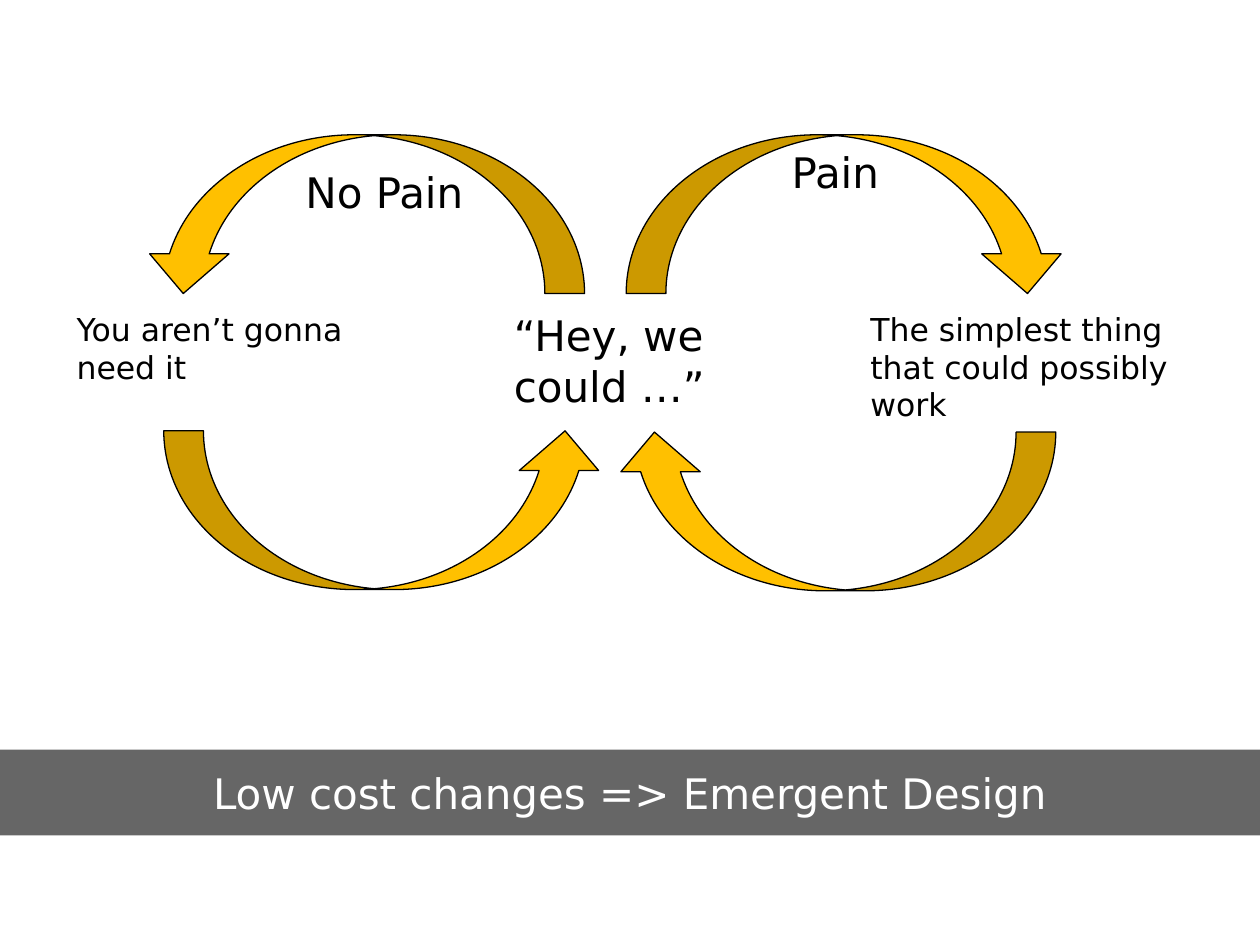
from dataclasses import dataclass

from lxml.etree import SubElement
from pptx import Presentation
from pptx.dml.color import RGBColor
from pptx.enum.shapes import MSO_SHAPE
from pptx.enum.text import MSO_ANCHOR, MSO_AUTO_SIZE, PP_ALIGN
from pptx.oxml.ns import qn
from pptx.util import Pt


@dataclass(frozen=True)
class Theme:
    """Colours, typeface and type sizes of the slide."""

    black: RGBColor = RGBColor(0, 0, 0)
    white: RGBColor = RGBColor(255, 255, 255)
    arrow: RGBColor = RGBColor(255, 192, 0)
    font: str = "DejaVu Sans"
    large: int = 24
    small: int = 18
    banner_alpha: int = 60


THEME = Theme()
ARROW_WIDTH, ARROW_HEIGHT = 252, 90.72
ARROWS = [
    (357.84, 77.04, ""),
    (82.08, 77.04, "h"),
    (351.36, 246.96, "hv"),
    (93.6, 246.24, "v"),
]
STATEMENTS = [
    ("“Hey, we could …”", 286.56, 130.32, 65.52, THEME.large),
    ("The simplest thing that could possibly work", 490.32, 187.2, 72.72, THEME.small),
    ("You aren’t gonna need it", 36.72, 187.2, 51.12, THEME.small),
]
STATEMENT_TOP = 173.52
OUTCOMES = [("Pain", 443.52, 79.92, 67.68), ("No Pain", 164.88, 91.44, 109.44)]


def style_text(frame, text, size, color, alignment):
    """Write one paragraph into a text frame and format it."""
    frame.word_wrap = True
    paragraph = frame.paragraphs[0]
    paragraph.text = text
    paragraph.alignment = alignment
    paragraph.font.name = THEME.font
    paragraph.font.size = Pt(size)
    paragraph.font.color.rgb = color


def format_banner(title, text):
    """Turn the title placeholder into a translucent full-width banner."""
    title.left, title.top, title.width, title.height = Pt(0), Pt(428.4), Pt(720), Pt(48.96)
    title.fill.solid()
    title.fill.fore_color.rgb = THEME.black
    color = next(title._element.spPr.iter(qn("a:srgbClr")))
    SubElement(color, qn("a:alpha"), val=str(THEME.banner_alpha * 1000))
    title.text_frame.auto_size = MSO_AUTO_SIZE.NONE
    title.text_frame.vertical_anchor = MSO_ANCHOR.MIDDLE
    style_text(title.text_frame, text, THEME.large, THEME.white, PP_ALIGN.CENTER)


def add_label(slide, text, left, top, width, height, size, alignment):
    """Add a wrapped text box that grows with its text."""
    box = slide.shapes.add_textbox(Pt(left), Pt(top), Pt(width), Pt(height))
    style_text(box.text_frame, text, size, THEME.black, alignment)
    box.text_frame.auto_size = MSO_AUTO_SIZE.SHAPE_TO_FIT_TEXT


def add_curved_arrow(slide, left, top, flips):
    """Add a curved arrow, mirrored along the axes named in flips."""
    arrow = slide.shapes.add_shape(
        MSO_SHAPE.CURVED_DOWN_ARROW, Pt(left), Pt(top), Pt(ARROW_WIDTH), Pt(ARROW_HEIGHT)
    )
    arrow.shadow.inherit = False
    arrow.fill.solid()
    arrow.fill.fore_color.rgb = THEME.arrow
    arrow.line.color.rgb = THEME.black
    arrow.line.width = Pt(0.75)
    for axis in flips:
        arrow._element.spPr.find(qn("a:xfrm")).set(f"flip{axis.upper()}", "1")


def main():
    """Build the two feedback loops and save the presentation."""
    presentation = Presentation()
    presentation.slide_width, presentation.slide_height = Pt(720), Pt(540)
    slide = presentation.slides.add_slide(presentation.slide_layouts[5])
    format_banner(slide.shapes.title, "Low cost changes => Emergent Design")
    for text, left, width, height, size in STATEMENTS:
        add_label(slide, text, left, STATEMENT_TOP, width, height, size, PP_ALIGN.LEFT)
    for left, top, flips in ARROWS:
        add_curved_arrow(slide, left, top, flips)
    for text, left, top, width in OUTCOMES:
        add_label(slide, text, left, top, width, 36, THEME.large, PP_ALIGN.CENTER)
    presentation.save("out.pptx")


if __name__ == "__main__":
    main()
